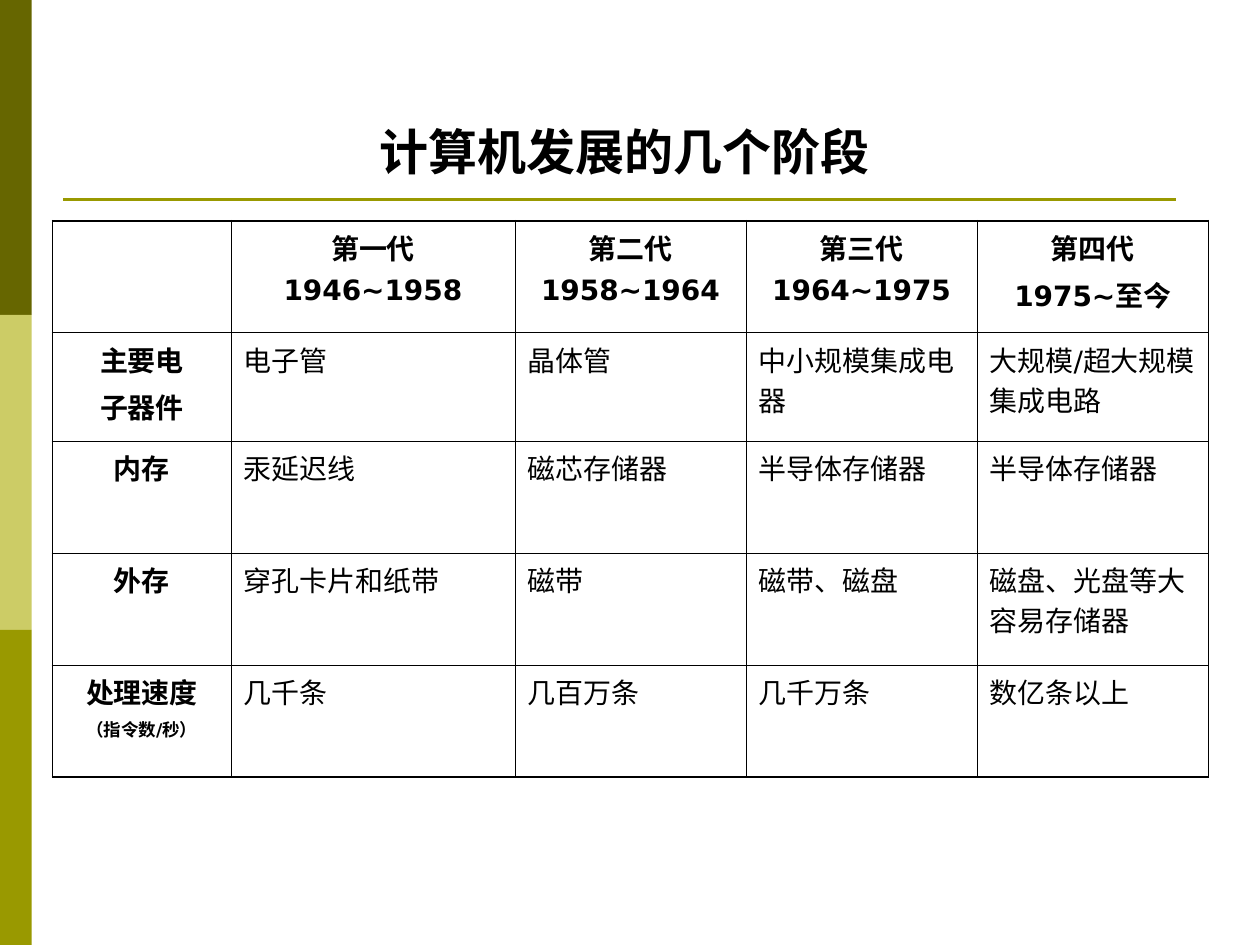
from dataclasses import dataclass

from lxml import etree
from pptx import Presentation
from pptx.dml.color import RGBColor
from pptx.enum import shapes, text
from pptx.oxml import ns
from pptx.util import Cm, Pt

BLACK = RGBColor(0x00, 0x00, 0x00)
DARK_OLIVE = RGBColor(0x66, 0x66, 0x00)
PALE_OLIVE = RGBColor(0xCC, 0xCC, 0x66)
OLIVE = RGBColor(0x99, 0x99, 0x00)

BAND_WIDTH = Cm(0.64)
BAND_HEIGHT = Cm(6.35)
COLUMN_WIDTHS = (3.6, 5.72, 4.66, 4.66, 4.66)
ROW_HEIGHTS = (2.26, 2.18, 2.26, 2.26, 2.26)
THIN, THICK = Pt(0.45), Pt(1.08)


@dataclass(frozen=True)
class Line:
    words: str
    size: float = 16
    space_before: float = 4


@dataclass(frozen=True)
class Feature:
    heading: tuple[Line, ...]
    values: tuple[str, ...]


GENERATIONS = (
    ("第一代", "1946~1958"),
    ("第二代", "1958~1964"),
    ("第三代", "1964~1975"),
    ("第四代", "1975~至今"),
)
FEATURES = (
    Feature((Line("主要电"), Line("子器件")),
            ("电子管", "晶体管", "中小规模集成电器", "大规模/超大规模集成电路")),
    Feature((Line("内存"),),
            ("汞延迟线", "磁芯存储器", "半导体存储器", "半导体存储器")),
    Feature((Line("外存"),),
            ("穿孔卡片和纸带", "磁带", "磁带、磁盘", "磁盘、光盘等大容易存储器")),
    Feature((Line("处理速度"), Line("（指令数/秒）", 10, 2.5)),
            ("几千条", "几百万条", "几千万条", "数亿条以上")),
)


def write(frame, lines: tuple[Line, ...], *, font: str, bold: bool = False,
          align=text.PP_ALIGN.LEFT) -> None:
    for index, line in enumerate(lines):
        para = frame.add_paragraph() if index else frame.paragraphs[0]
        para.alignment = align
        if index:
            para.space_before = Pt(line.space_before)
        span = para.add_run()
        span.text = line.words
        span.font.name = font
        span.font.size = Pt(line.size)
        span.font.bold = bold
        span.font.color.rgb = BLACK


def set_borders(cell, widths: dict[str, int]) -> None:
    """Put the L, R, T, B border lines ahead of the cell's fill."""
    properties = cell._tc.get_or_add_tcPr()
    for index, (side, width) in enumerate(widths.items()):
        border = etree.Element(ns.qn(f"a:ln{side}"), w=str(width))
        fill = etree.SubElement(border, ns.qn("a:solidFill"))
        etree.SubElement(fill, ns.qn("a:srgbClr"), val=str(BLACK))
        properties.insert(index, border)


def draw_frame(page) -> None:
    for index, color in enumerate((DARK_OLIVE, PALE_OLIVE, OLIVE)):
        band = page.shapes.add_shape(shapes.MSO_SHAPE.RECTANGLE, 0,
                                     index * BAND_HEIGHT, BAND_WIDTH, BAND_HEIGHT)
        band.shadow.inherit = False
        band.fill.solid()
        band.fill.fore_color.rgb = color
        band.line.fill.background()

    rule = page.shapes.add_connector(shapes.MSO_CONNECTOR.STRAIGHT,
                                     Cm(1.27), Cm(4.02), Cm(23.7), Cm(4.02))
    rule.line.color.rgb = OLIVE
    rule.line.width = Pt(1.5)
    etree.SubElement(rule._element.spPr, ns.qn("a:effectLst"))


def draw_title(page) -> None:
    box = page.shapes.add_textbox(Cm(7.41), Cm(2.33), Cm(11.23), Cm(1.45))
    box.text_frame.word_wrap = True
    write(box.text_frame, (Line("计算机发展的几个阶段", 28),), font="Arial", bold=True)


def draw_table(page) -> None:
    corner = ()
    grid = [[corner, *(tuple(map(Line, lines)) for lines in GENERATIONS)]]
    grid += [[feature.heading, *((Line(value),) for value in feature.values)]
             for feature in FEATURES]
    last_row, last_column = len(grid) - 1, len(grid[0]) - 1

    table = page.shapes.add_table(len(grid), len(grid[0]), Cm(1.06), Cm(4.45),
                                  Cm(sum(COLUMN_WIDTHS)), Cm(sum(ROW_HEIGHTS))).table
    table.first_row = table.horz_banding = False
    for column, width in zip(table.columns, COLUMN_WIDTHS):
        column.width = Cm(width)
    for row, height in zip(table.rows, ROW_HEIGHTS):
        row.height = Cm(height)

    for r, row in enumerate(grid):
        for c, lines in enumerate(row):
            cell = table.cell(r, c)
            cell.fill.background()
            heading = r == 0 or c == 0
            write(cell.text_frame, lines, font="DejaVu Sans", bold=heading,
                  align=text.PP_ALIGN.CENTER if heading else text.PP_ALIGN.LEFT)
            set_borders(cell, {
                "L": THICK if c == 0 else THIN,
                "R": THICK if c == last_column else THIN,
                "T": THICK if r == 0 else THIN,
                "B": THICK if r == last_row else THIN,
            })


def main() -> None:
    deck = Presentation()
    deck.slide_width, deck.slide_height = Cm(25.4), Cm(19.05)
    page = deck.slides.add_slide(deck.slide_layouts[6])
    draw_frame(page)
    draw_title(page)
    draw_table(page)
    deck.save("out.pptx")


if __name__ == "__main__":
    main()
